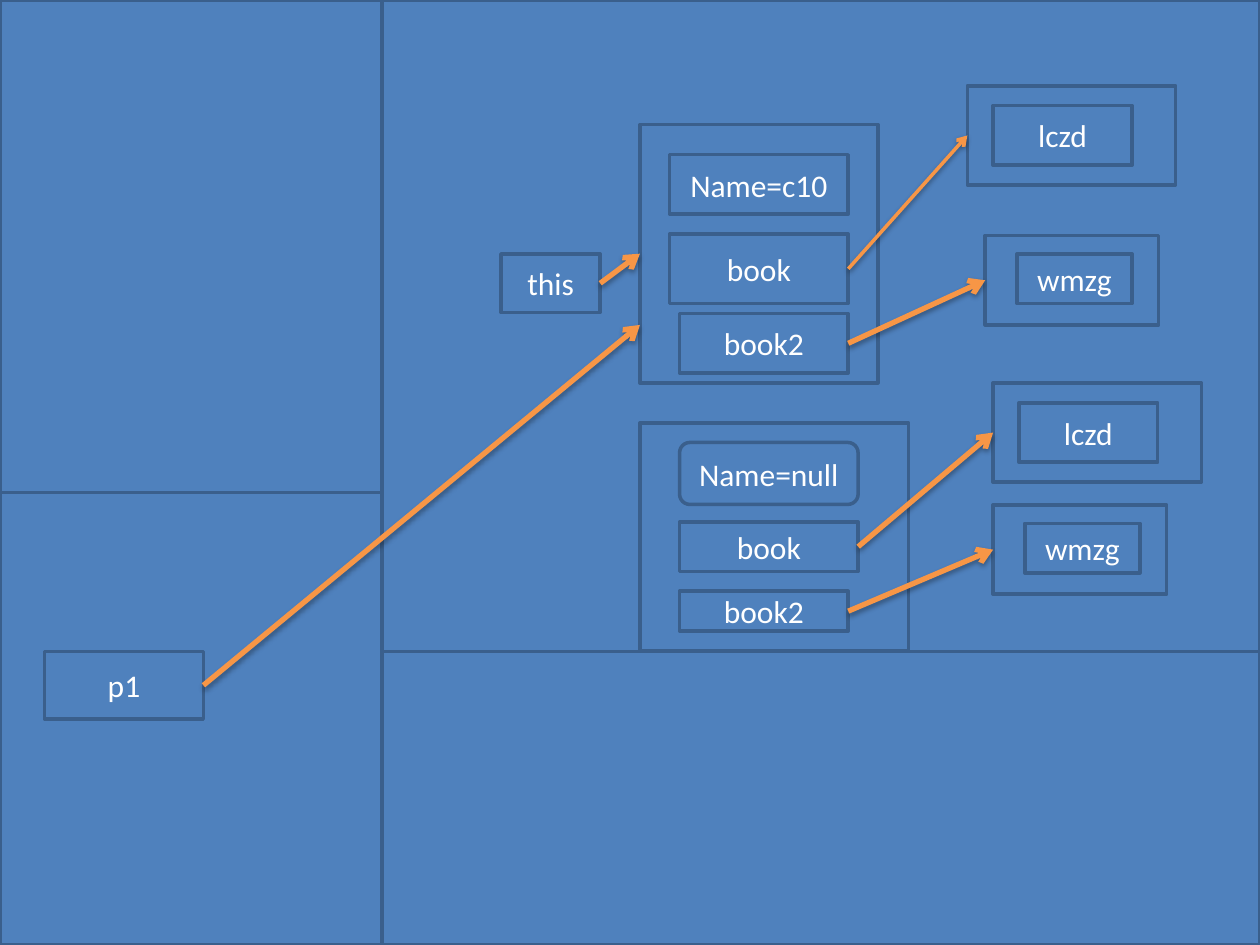
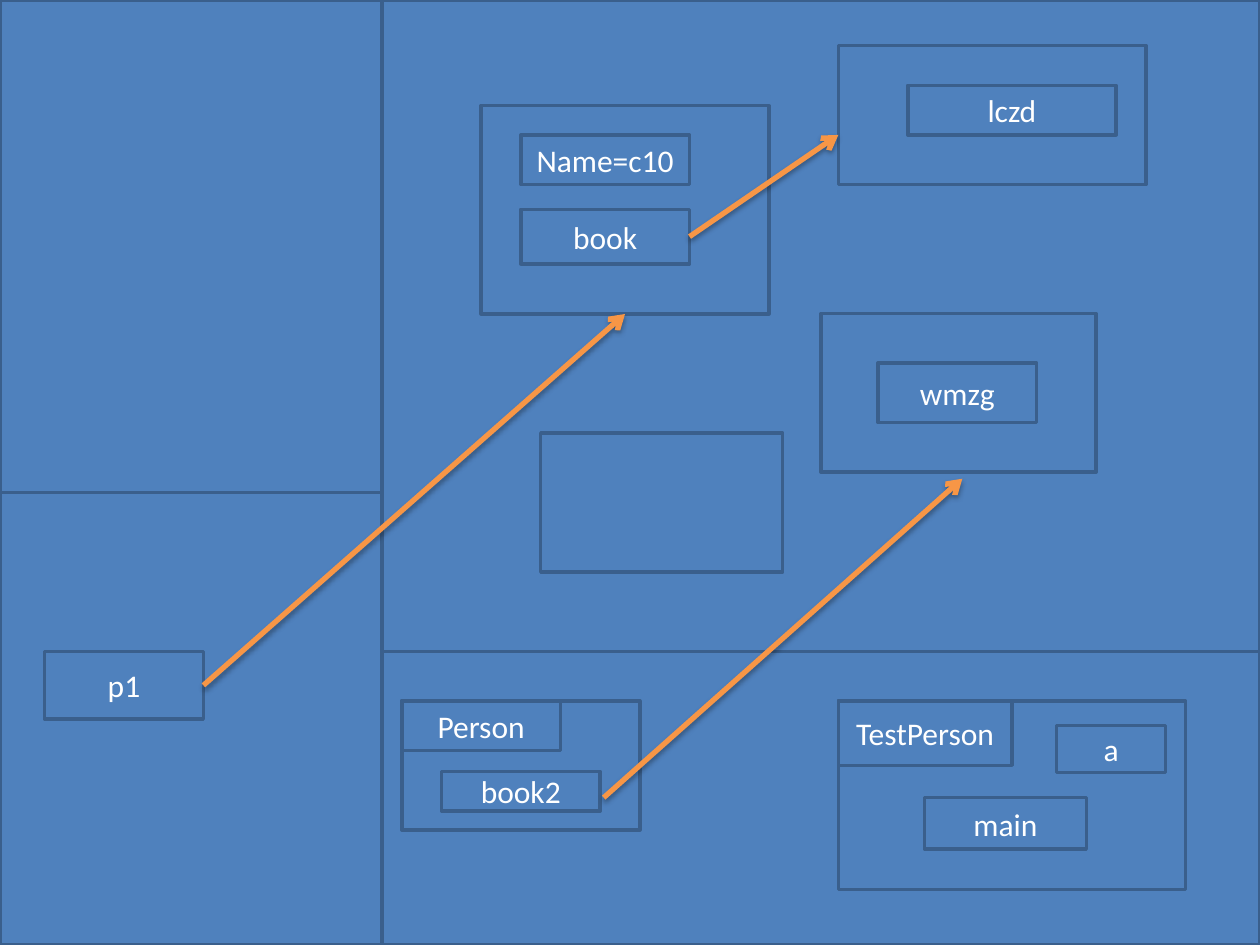
"""Build two memory diagrams of objects, fields and references."""
import lxml.etree
import pptx
import pptx.dml.color
import pptx.enum.shapes
import pptx.enum.text
import pptx.oxml
import pptx.oxml.ns
import pptx.util

Cm = pptx.util.Cm
Pt = pptx.util.Pt
RGB = pptx.dml.color.RGBColor.from_string
Kind = pptx.enum.shapes.MSO_SHAPE
theme = {
    "fill": RGB("4F81BD"),
    "edge": RGB("3A5F8C"),
    "arrow": RGB("F79646"),
    "rule": Pt(2),
    "font": {"name": "Calibri", "size": Pt(18)},
    "ink": RGB("FFFFFF"),
    "frame": {
        "vertical_anchor": pptx.enum.text.MSO_ANCHOR.MIDDLE,
        "word_wrap": True,
    },
}
WIDE, HIGH = 25.4, 19.05
SPLIT, STACK, FLOOR = 7.7, 9.93, 13.13

deck = pptx.Presentation()
deck.slide_width, deck.slide_height = Cm(WIDE), Cm(HIGH)


def add_box(slide, text, left, top, width, height, kind=Kind.RECTANGLE):
    box = slide.shapes.add_shape(kind, Cm(left), Cm(top), Cm(width), Cm(height))
    box.shadow.inherit = False
    box.fill.solid()
    box.fill.fore_color.rgb = theme["fill"]
    box.line.color.rgb = theme["edge"]
    box.line.width = theme["rule"]
    if text:
        frame = box.text_frame
        frame.text = text
        for key, value in theme["frame"].items():
            setattr(frame, key, value)
        para = frame.paragraphs[0]
        para.alignment = pptx.enum.text.PP_ALIGN.CENTER
        font = para.runs[0].font
        for key, value in theme["font"].items():
            setattr(font, key, value)
        font.color.rgb = theme["ink"]
    return box


def add_arrow(slide, boxes, start, end, width=3, alpha=35, drop=1.8):
    line = slide.shapes.add_connector(
        pptx.enum.shapes.MSO_CONNECTOR.STRAIGHT,
        *[Cm(n) if isinstance(n, (int, float)) else 0 for n in start + end])
    for point, join in ((start, line.begin_connect), (end, line.end_connect)):
        if isinstance(point[0], str):
            join(boxes[point[0]], point[1])
    line.line.color.rgb = theme["arrow"]
    line.line.width = Pt(width)
    qn = pptx.oxml.ns.qn
    props = line.line._get_or_add_ln().getparent()
    lxml.etree.SubElement(props.find(qn("a:ln")), qn("a:tailEnd"), type="arrow")
    effect = lxml.etree.SubElement(props, qn("a:effectLst"))
    shade = lxml.etree.SubElement(
        effect, qn("a:outerShdw"), blurRad=str(Pt(3.1)), dist=str(Pt(drop)),
        dir="5400000", rotWithShape="0")
    tint = lxml.etree.SubElement(shade, qn("a:srgbClr"), val="000000")
    lxml.etree.SubElement(tint, qn("a:alpha"), val=str(alpha * 1000))


base = {
    "heap": ("", 0, 0, WIDE, HIGH),
    "left": ("", 0, 0, SPLIT, HIGH),
    "stack": ("", 0, STACK, SPLIT, HIGH - STACK),
    "class": ("", SPLIT, FLOOR, WIDE - SPLIT, HIGH - FLOOR),
    "p1": ("p1", 0.9, FLOOR, 3.2, 1.37),
}

first = {
    "this": ("this", 10.1, 5.12, 2, 1.18),
    "person": ("", 12.9, 2.51, 4.8, 5.21),
    "name": ("Name=c10", 13.5, 3.12, 3.6, 1.2),
    "book": ("book", 13.5, 4.72, 3.6, 1.4),
    "book2": ("book2", 13.7, 6.32, 3.4, 1.2),
    "blank": ("", 12.9, 8.53, 5.42, 4.6),
    "null": ("Name=null", 13.7, 8.92, 3.6, 1.25, Kind.ROUNDED_RECTANGLE),
    "low book": ("book", 13.7, 10.52, 3.6, 1),
    "low book2": ("book2", 13.7, 11.92, 3.4, 0.8),
}
for key, left, top in (("lczd", 19.5, 1.73), ("low lczd", 20.02, 7.72)):
    first[key] = ("", left, top, 4.2, 2)
    first[key + " text"] = ("lczd", left + 0.52, top + 0.4, 2.8, 1.2)
for key, left, top in (("wmzg", 19.86, 4.75), ("low wmzg", 20.02, 10.18)):
    first[key] = ("", left, top, 3.5, 1.8)
    first[key + " text"] = ("wmzg", left + 0.64, top + 0.37, 2.32, 1)

second = {
    "class box": ("", 8.1, 14.13, 4.8, 2.6),
    "class name": ("Person", 8.1, 14.13, 3.2, 1),
    "book2": ("book2", 8.9, 15.55, 3.2, 0.8),
    "wmzg": ("", 16.55, 6.32, 5.55, 3.2),
    "wmzg text": ("wmzg", 17.7, 7.32, 3.2, 1.2),
    "person": ("", 9.7, 2.13, 5.8, 4.2),
    "name": ("Name=c10", 10.5, 2.72, 3.4, 1),
    "book": ("book", 10.5, 4.22, 3.4, 1.1),
    "lczd": ("", 16.9, 0.92, 6.2, 2.8),
    "lczd text": ("lczd", 18.3, 1.72, 4.2, 1),
    "blank": ("", 10.9, 8.73, 4.88, 2.8),
    "test": ("", 16.9, 14.13, 7, 3.8),
    "test name": ("TestPerson", 16.9, 14.13, 3.5, 1.3),
    "main": ("main", 18.64, 16.08, 3.26, 1.04),
    "a": ("a", 21.3, 14.63, 2.2, 0.94),
}

links = [
    [
        (("book", 3), ("lczd", 1), 2, 38, 1.6),
        (("book2", 3), ("wmzg", 1)),
        (("this", 3), ("person", 1)),
        (("p1", 3), (12.9, 6.55)),
        (("low book", 3), ("low lczd", 1)),
        (("low book2", 3), ("low wmzg", 1)),
    ],
    [
        ((12.17, 16.08), (19.4, 9.65)),
        (("book", 3), (16.9, 2.72)),
        (("p1", 3), ("person", 2)),
    ],
]

for parts, arrows in zip((first, second), links):
    slide = deck.slides.add_slide(deck.slide_layouts[6])
    boxes = {key: add_box(slide, *part) for key, part in (base | parts).items()}
    for arrow in arrows:
        add_arrow(slide, boxes, *arrow)

deck.save("out.pptx")
